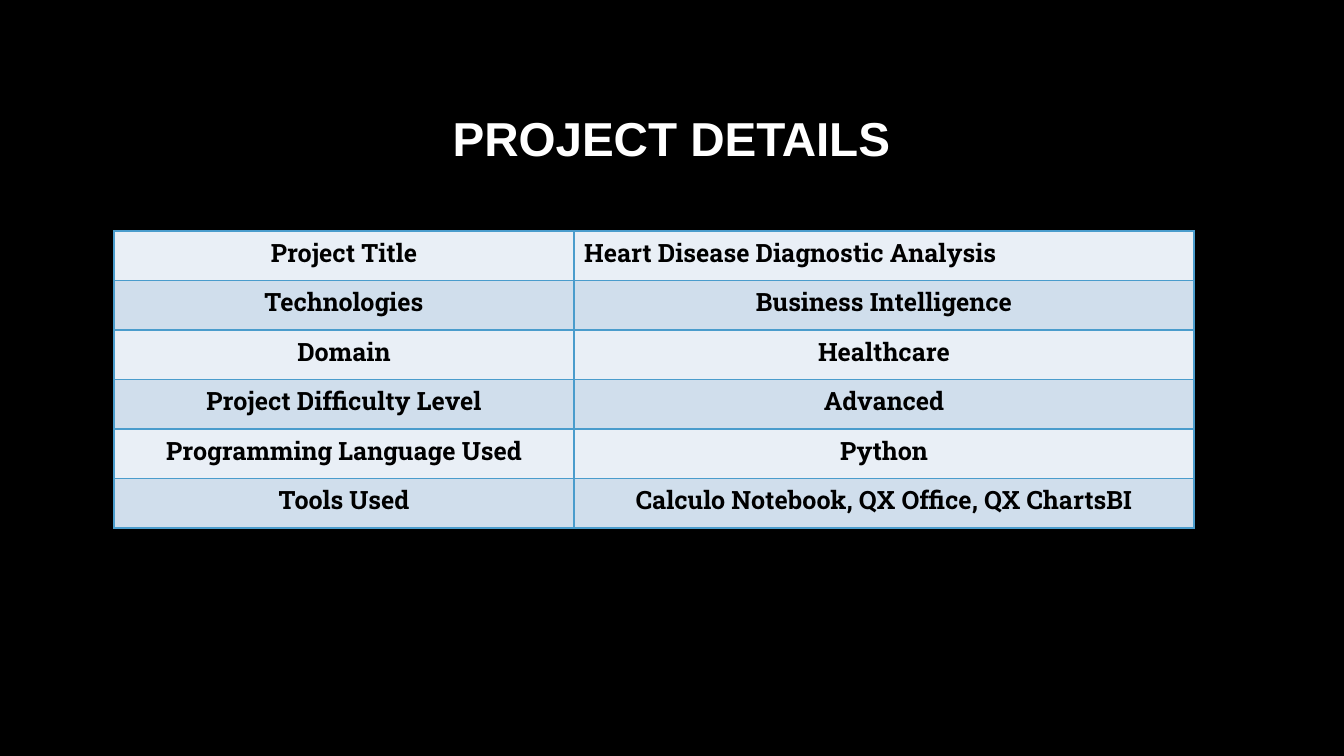
import pptx
import pptx.dml.color
import pptx.enum.text
import pptx.oxml
import pptx.oxml.ns
import pptx.util

BLACK = pptx.dml.color.RGBColor(0x00, 0x00, 0x00)
WHITE = pptx.dml.color.RGBColor(0xFF, 0xFF, 0xFF)
LIGHT_BAND = pptx.dml.color.RGBColor(0xE9, 0xEF, 0xF6)
DARK_BAND = pptx.dml.color.RGBColor(0xD0, 0xDE, 0xEC)
BORDER_BLUE = pptx.dml.color.RGBColor(0x4A, 0x9C, 0xCC)

CENTER = pptx.enum.text.PP_ALIGN.CENTER
LEFT = pptx.enum.text.PP_ALIGN.LEFT
MIDDLE = pptx.enum.text.MSO_ANCHOR.MIDDLE

DETAILS = [
    ("Project Title", "Heart Disease Diagnostic Analysis"),
    ("Technologies", "Business Intelligence"),
    ("Domain", "Healthcare"),
    ("Project Difficulty Level", "Advanced"),
    ("Programming Language Used", "Python"),
    ("Tools Used", "Calculo Notebook, QX Office, QX ChartsBI"),
]
COLUMN_WIDTHS = (460, 620)
TABLE_HEIGHT = 297


def px(length):
    return pptx.util.Emu(round(length * 914400 / 100.8))


def add_span(para, text, font_name, size, color):
    span = para.add_run()
    span.text = text
    span.font.name = font_name
    span.font.size = pptx.util.Pt(size)
    span.font.bold = True
    span.font.color.rgb = color


# Page with a black background
deck = pptx.Presentation()
deck.slide_width, deck.slide_height = px(1344), px(756)
page = deck.slides.add_slide(deck.slide_layouts[5])
page.background.fill.solid()
page.background.fill.fore_color.rgb = BLACK

# Title
title = page.shapes.title
title.left, title.top, title.width, title.height = px(101), px(68), px(1141), px(146)
title.text_frame.vertical_anchor = MIDDLE
para = title.text_frame.paragraphs[0]
para.alignment = CENTER
para.line_spacing = 0.9
add_span(para, "PROJECT DETAILS", "Arial", 34, WHITE)

# Details table
table = page.shapes.add_table(
    len(DETAILS), len(COLUMN_WIDTHS),
    px(114), px(231), px(sum(COLUMN_WIDTHS)), px(TABLE_HEIGHT),
).table
for column, width in zip(table.columns, COLUMN_WIDTHS):
    column.width = px(width)

for row_index, details in enumerate(DETAILS):
    table.rows[row_index].height = px(TABLE_HEIGHT / len(DETAILS))
    for column_index, text in enumerate(details):
        cell = table.cell(row_index, column_index)
        para = cell.text_frame.paragraphs[0]
        para.alignment = LEFT if (row_index, column_index) == (0, 1) else CENTER
        add_span(para, text, "Roboto Slab", 18, BLACK)

        # Borders come before the fill in the cell properties
        properties = cell._tc.get_or_add_tcPr()
        for side in ("lnL", "lnR", "lnT", "lnB"):
            properties.append(pptx.oxml.parse_xml(
                f'<a:{side} {pptx.oxml.ns.nsdecls("a")} w="{pptx.util.Pt(1)}">'
                f'<a:solidFill><a:srgbClr val="{BORDER_BLUE}"/></a:solidFill></a:{side}>'
            ))
        cell.fill.solid()
        cell.fill.fore_color.rgb = DARK_BAND if row_index % 2 else LIGHT_BAND

deck.save("out.pptx")
